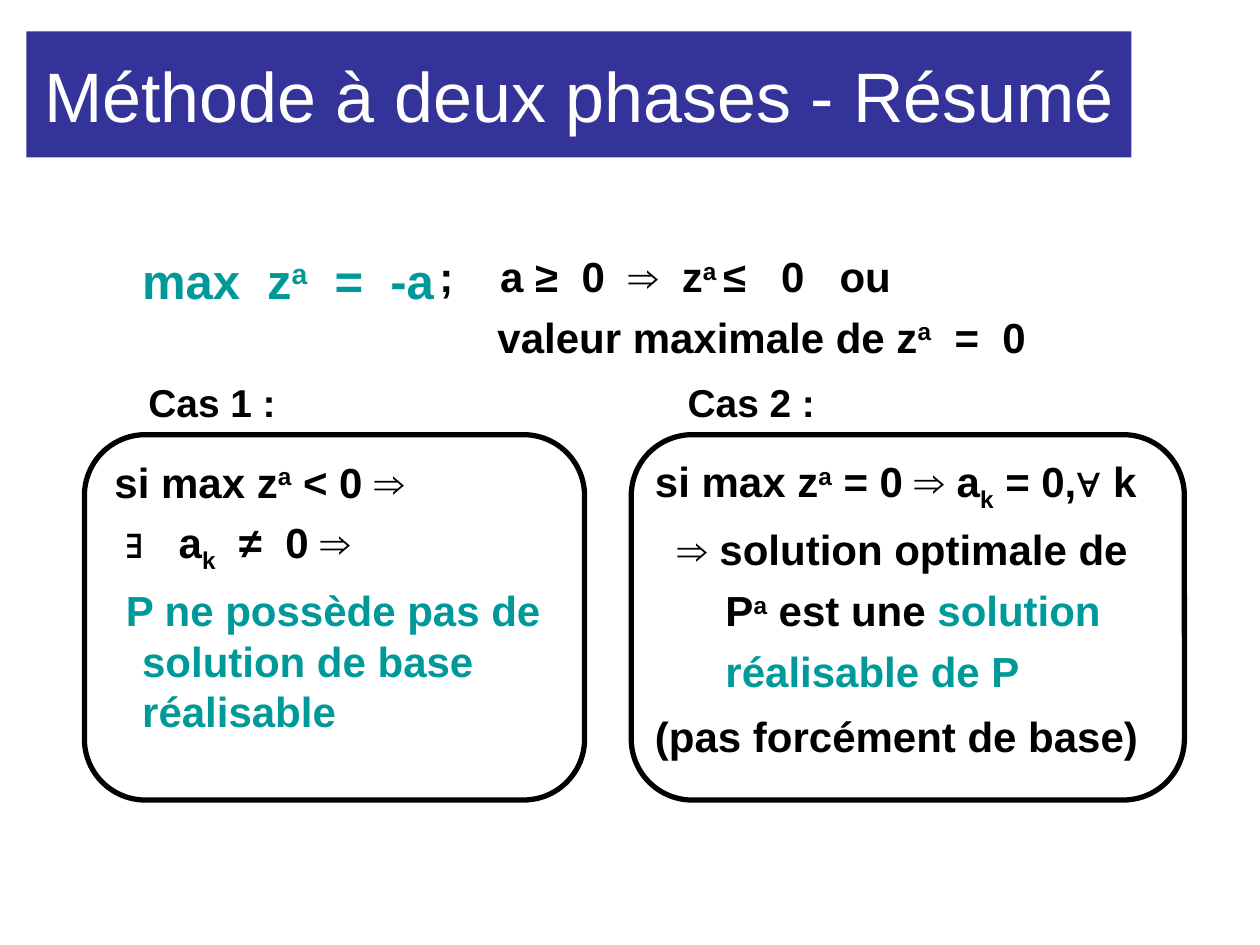
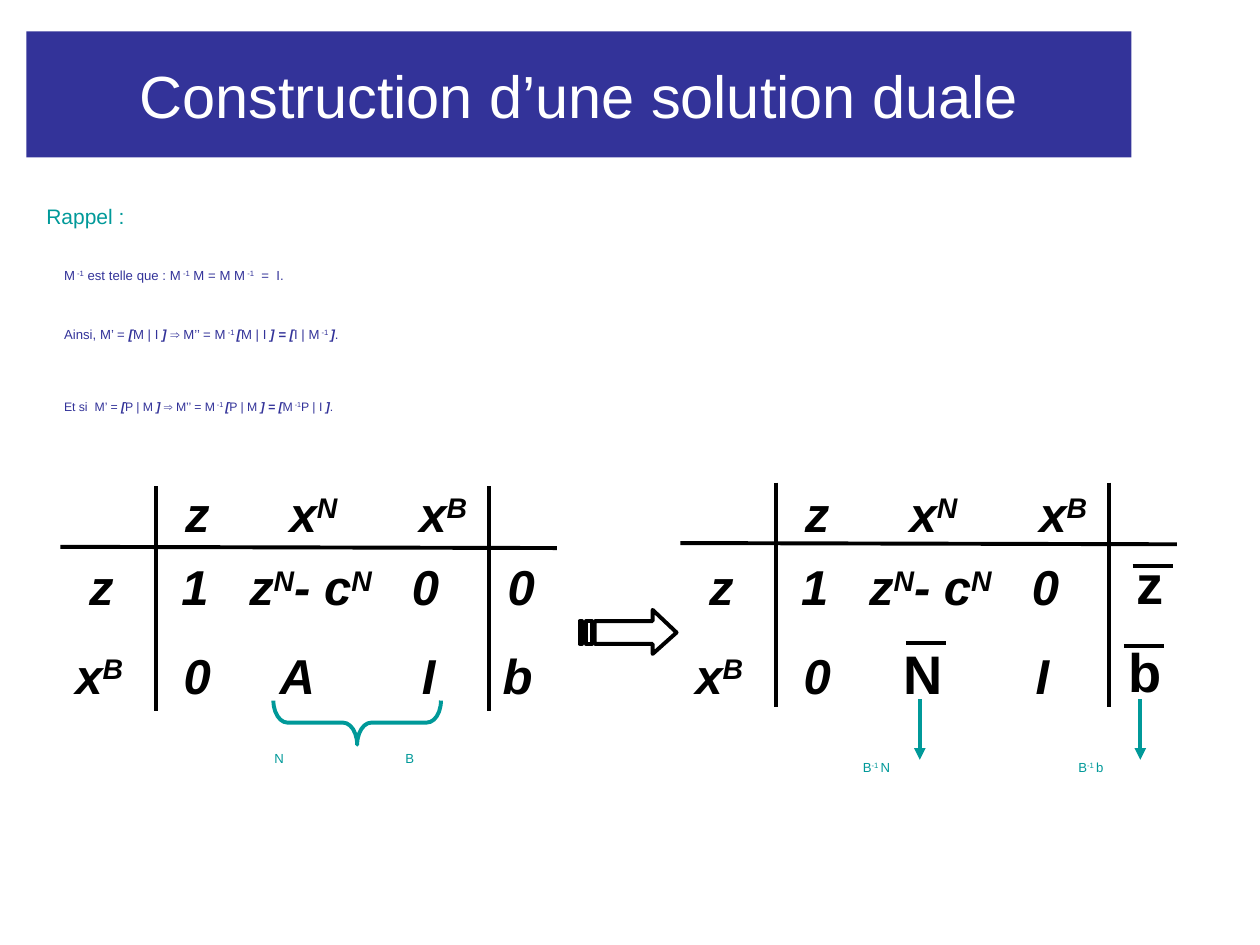
from dataclasses import dataclass
from typing import Optional

from lxml import etree
from pptx import Presentation
from pptx.dml.color import RGBColor
from pptx.enum.shapes import MSO_CONNECTOR, MSO_SHAPE
from pptx.enum.text import MSO_ANCHOR, PP_ALIGN
from pptx.oxml.ns import qn
from pptx.util import Inches, Pt


@dataclass(frozen=True)
class Theme:
    font: str = "Arial"
    navy: RGBColor = RGBColor(0x33, 0x33, 0x99)
    teal: RGBColor = RGBColor(0x00, 0x99, 0x99)
    black: RGBColor = RGBColor(0, 0, 0)
    white: RGBColor = RGBColor(0xFF, 0xFF, 0xFF)
    symbol: float = 31
    tableau: float = 28
    body: float = 24
    case: float = 22.2
    reminder: float = 12
    note: float = 7.5
    small_note: float = 7
    frame: float = 3
    rule: float = 2.25


@dataclass(frozen=True)
class Span:
    text: str
    baseline: int = 0
    color: Optional[RGBColor] = None
    strong: bool = False
    tracking: float = 0


@dataclass(frozen=True)
class Para:
    spans: tuple
    left: float = 0
    hang: float = 0
    before: float = 0


THEME = Theme()


def sup(text):
    return Span(text, baseline=30000)


def sub(text):
    return Span(text, baseline=-25000)


def teal(text):
    return Span(text, color=THEME.teal)


def strong(text):
    return Span(text, strong=True)


def gap(tracking):
    return Span(" ", tracking=tracking)


class Builder:
    def __init__(self, theme):
        self.theme = theme
        self.deck = Presentation()
        self.deck.slide_width = Inches(10)
        self.deck.slide_height = Inches(7.5)
        self.page = None

    def new_page(self, title, size):
        self.page = self.deck.slides.add_slide(self.deck.slide_layouts[6])
        band = self.shape(MSO_SHAPE.RECTANGLE, 0.21, 0.25, 8.77, 1, fill=self.theme.navy)
        band.text_frame.vertical_anchor = MSO_ANCHOR.MIDDLE
        para = band.text_frame.paragraphs[0]
        para.alignment = PP_ALIGN.CENTER
        self.fill_para(para, Para((title,)), size, self.theme.white)

    def paint(self, shape, fill=None, line=None, weight=None):
        shape.shadow.inherit = False
        if fill is None:
            shape.fill.background()
        else:
            shape.fill.solid()
            shape.fill.fore_color.rgb = fill
        if line is None:
            shape.line.fill.background()
        else:
            shape.line.color.rgb = line
            shape.line.width = Pt(weight)
        return shape

    def shape(self, kind, left, top, width, height, fill=None, line=None, weight=None):
        shape = self.page.shapes.add_shape(
            kind, Inches(left), Inches(top), Inches(width), Inches(height))
        return self.paint(shape, fill, line, weight)

    def outline(self, contours, fill, line):
        builder = None
        for contour in contours:
            points = [(Inches(x), Inches(y)) for x, y in contour]
            if builder is None:
                builder = self.page.shapes.build_freeform(*points[0])
            else:
                builder.move_to(*points[0])
            builder.add_line_segments(points[1:], close=True)
        self.paint(builder.convert_to_shape(), fill, line, self.theme.rule)

    def line(self, start, end, color=None, arrow=False):
        line = self.page.shapes.add_connector(
            MSO_CONNECTOR.STRAIGHT, *(Inches(value) for value in (*start, *end)))
        line.line.color.rgb = color or self.theme.black
        line.line.width = Pt(self.theme.rule)
        if arrow:
            outline = line.line._get_or_add_ln()
            etree.SubElement(outline, qn("a:tailEnd"), type="triangle")
        etree.SubElement(line._element.spPr, qn("a:effectLst"))

    def fill_para(self, para, content, size, color, bold=False, italic=False):
        properties = para._p.get_or_add_pPr()
        properties.set("marL", str(Inches(content.left)))
        properties.set("indent", str(Inches(content.hang)))
        if content.before:
            para.space_before = Pt(content.before)
        font = para.font
        font.name, font.size = self.theme.font, Pt(size)
        font.bold, font.italic = bold, italic
        font.color.rgb = color
        for item in content.spans:
            span = item if isinstance(item, Span) else Span(item)
            run = para.add_run()
            run.text = span.text
            if span.baseline:
                run._r.get_or_add_rPr().set("baseline", str(span.baseline))
            if span.tracking:
                run._r.get_or_add_rPr().set("spc", str(round(span.tracking * 100)))
            if span.color is not None:
                run.font.color.rgb = span.color
            if span.strong:
                run.font.bold = run.font.italic = True

    def text(self, left, top, width, height, paras, size, color=None, bold=False, italic=False):
        box = self.page.shapes.add_textbox(
            Inches(left), Inches(top), Inches(width), Inches(height))
        frame = box.text_frame
        frame.word_wrap = True
        for index, content in enumerate(paras):
            para = frame.add_paragraph() if index else frame.paragraphs[0]
            self.fill_para(para, content, size, color or self.theme.black, bold, italic)

    def case(self, label, label_left, left, width):
        self.shape(MSO_SHAPE.ROUNDED_RECTANGLE, left, 3.45, width, 2.9, self.theme.white,
                   self.theme.black, self.theme.frame).adjustments[0] = 0.167
        self.text(label_left, 2.96, 2.28, 0.48, [Para((label,), left=0.5)],
                  self.theme.case, bold=True)

    def tableau(self, left, rule_top, rows):
        for top, cells in zip((3.79, 4.37, 5.07), rows):
            for offset, *spans in cells:
                self.text(left + offset, top, 1.25, 0.55, [Para(spans)],
                          self.theme.tableau, bold=True, italic=True)
        self.line((left - 0.02, rule_top + 0.48), (left + 3.92, rule_top + 0.49))
        for offset in (0.74, 3.38):
            self.line((left + offset, rule_top), (left + offset, rule_top + 1.78))

    def barred(self, symbol, left, top, bar_left, bar_top):
        self.text(left, top, 1.4, 0.67, [Para((symbol,), left=0.5)],
                  self.theme.symbol, bold=True)
        self.line((bar_left, bar_top), (bar_left + 0.32, bar_top))

    def note(self, left, top, width, spans, size=None, color=None, indent=0):
        self.text(left, top, width, 0.5, [Para(spans, left=indent)],
                  size or self.theme.note, color or self.theme.teal)


def two_phase_summary(builder):
    theme = builder.theme
    builder.new_page("Méthode à deux phases - Résumé", 40)
    space = 0.278 * theme.body
    double, triple, quadruple = (gap(space * extra) for extra in (1, 2, 3))
    wide = gap(0.278 * theme.tableau)
    builder.text(2.61, 1.94, 6.43, 1.07, [
        Para((";", quadruple, "a ≥", double, "0", double, "⇒", double, "z", sup("a "),
              "≤", triple, "0", triple, "ou"), left=0.78),
        Para(("valeur maximale de z", sup("a"), double, "=", double, "0"),
             left=1.24, before=6),
    ], theme.body, bold=True)
    builder.text(0.53, 1.94, 9.03, 1.07, [
        Para(("max", wide, "z", sup("a"), wide, "=", wide, "-a"), left=0.5),
    ], theme.tableau, theme.teal, bold=True)

    builder.case("Cas 1 :", 0.58, 0.67, 3.97)
    builder.text(0.22, 3.57, 4.75, 3.32, [
        Para(("si max z", sup("a"), " < 0 ⇒"), left=0.59),
        Para(("∃", triple, "a", sub("k"), double, "≠", double, "0 ⇒"), left=0.68, before=6),
        Para((teal("P ne possède pas de solution de base réalisable"),),
             left=0.81, hang=-0.13, before=6),
    ], theme.body, bold=True)

    builder.case("Cas 2 :", 4.86, 5.01, 4.39)
    builder.text(4.6, 3.57, 4.9, 2.07, [
        Para(("si max z", sup("a"), " = 0 ⇒ a", sub("k"), " = 0,∀ k"), left=0.5),
        Para(("⇒ solution optimale de",), left=0.68, before=6),
        Para(("P", sup("a"), " est une ", teal("solution")), left=1.06, before=6),
        Para((teal("réalisable de P"),), left=1.06, before=6),
    ], theme.body, bold=True)
    builder.text(4.6, 5.59, 4.9, 0.63, [Para(("(pas forcément de base)",), left=0.5)],
                 theme.body, bold=True)


def dual_solution(builder):
    theme = builder.theme
    builder.new_page("Construction d’une solution duale", 34)
    builder.note(0.18, 1.57, 9.23, ("Rappel :",), theme.reminder, indent=0.09)
    inverse = sup(" -1")
    double = gap(0.278 * theme.note)
    reminders = (
        (2.07, theme.note, ("M", inverse, " est telle que : M", inverse, " M = M M",
                            inverse, double, "=", double, "I.")),
        (2.54, theme.note, ("Ainsi, M’ = ", strong("["), "M | I ", strong("] "), "⇒ M’’ = M",
                            sup(" -1 "), strong("["), "M | I ", strong("] = ["), "I | M",
                            sup(" -1 "), strong("]"), ".")),
        (3.12, theme.small_note, ("Et si", double, "M’ = ", strong("["), "P | M ",
                                  strong("] "), "⇒ M’’ = M", sup(" -1 "), strong("["),
                                  "P | M ", strong("] = ["), "M", inverse, "P | I ",
                                  strong("]"), ".")),
    )
    for top, size, spans in reminders:
        builder.note(0.35, top, 9.11, spans, size, theme.navy, indent=0.06)

    header = [(0.87, "z"), (1.7, "x", sup("N")), (2.73, "x", sup("B"))]
    objective = [(0.11, "z"), (0.84, "1"), (1.38, "z", sup("N"), "- c", sup("N")),
                 (2.67, "0")]
    constraint = [(0, "x", sup("B")), (0.86, "0")]
    builder.tableau(0.5, 3.86, [
        header,
        objective + [(3.43, "0")],
        constraint + [(1.62, "A"), (2.75, "I"), (3.39, "b")],
    ])

    shaft_top, shaft_bottom = 4.93, 5.11
    stripes = [[(left, shaft_top), (right, shaft_top), (right, shaft_bottom),
                (left, shaft_bottom)] for left, right in ((4.6, 4.62), (4.65, 4.7))]
    arrow = [(4.72, shaft_top), (5.18, shaft_top), (5.18, 4.84), (5.37, 5.02),
             (5.18, 5.19), (5.18, shaft_bottom), (4.72, shaft_bottom)]
    builder.outline([arrow, *stripes], theme.white, theme.black)

    brace = builder.shape(MSO_SHAPE.LEFT_BRACE, 2.66, 5.07, 0.35, 1.33,
                          line=theme.teal, weight=theme.rule)
    brace.adjustments[0] = 0.32
    brace.rotation = 270
    builder.note(2.08, 5.91, 0.6, ("N",))
    builder.note(3.12, 5.91, 0.6, ("B",))

    builder.tableau(5.42, 3.83, [header, objective, constraint + [(2.7, "I")]])
    builder.barred("N", 6.57, 5.03, 7.19, 5.1)
    builder.barred("z", 8.42, 4.32, 8.99, 4.49)
    builder.barred("b", 8.36, 5.02, 8.92, 5.13)

    for symbol, left, arrow_left in (("N", 6.75, 7.3), ("b", 8.46, 9.05)):
        builder.note(left, 5.98, 1.22, ("B", sup("-1 "), symbol))
        builder.line((arrow_left, 5.55), (arrow_left, 6.03), theme.teal, arrow=True)


def main():
    builder = Builder(THEME)
    two_phase_summary(builder)
    dual_solution(builder)
    builder.deck.save("out.pptx")


if __name__ == "__main__":
    main()
